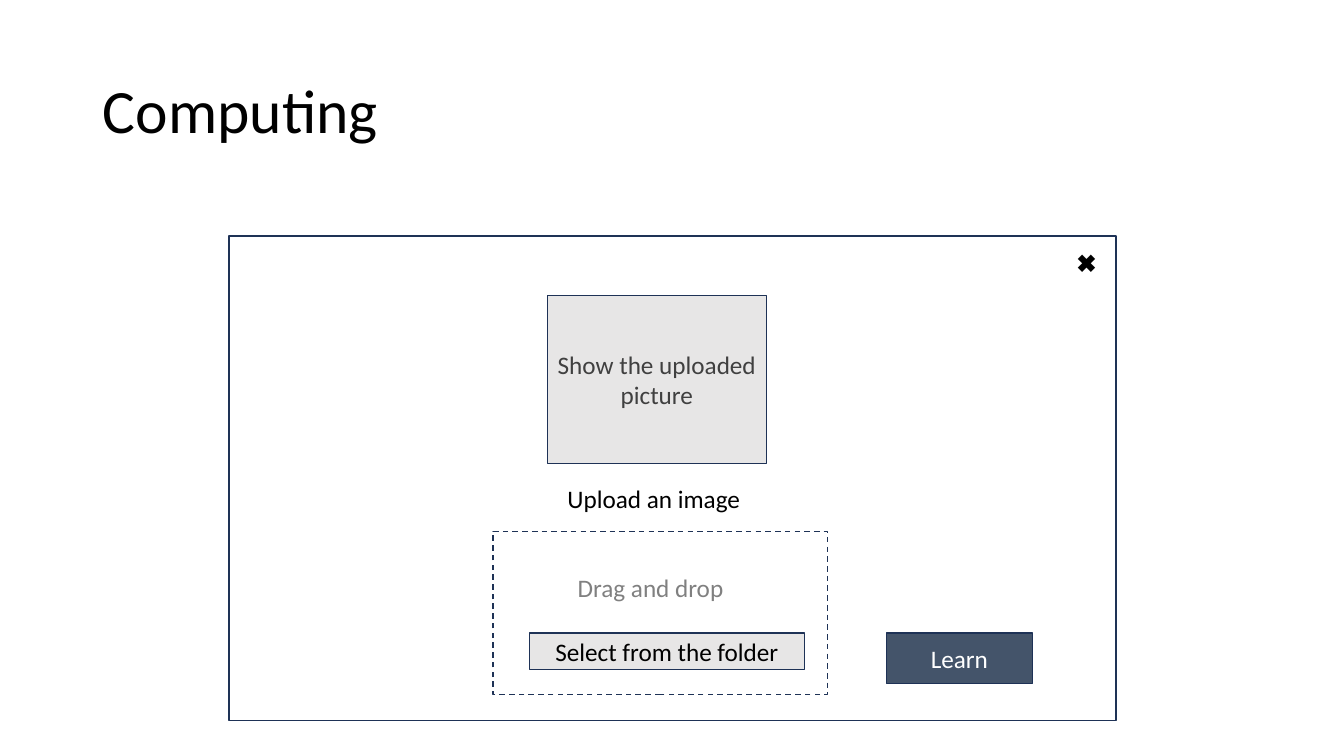
from pptx import Presentation
from pptx.dml.color import RGBColor
from pptx.enum.dml import MSO_LINE
from pptx.enum.shapes import MSO_SHAPE
from pptx.enum.text import MSO_ANCHOR, PP_ALIGN
from pptx.util import Inches, Pt

RECTANGLE = MSO_SHAPE.RECTANGLE
DASH = MSO_LINE.DASH
MIDDLE = MSO_ANCHOR.MIDDLE
LEFT, CENTER = PP_ALIGN.LEFT, PP_ALIGN.CENTER

FONT = "Calibri"
OUTLINE, WHITE, GRAY, BLACK = "1E3256", "FFFFFF", "E7E6E6", "000000"

HEADING = ("Computing", (0.92, 0.4, 11.5, 1.45))
BOXES = [
    ("", (2.27, 2.34, 8.8, 4.81), WHITE, BLACK, None),
    ("Show the uploaded picture", (5.43, 2.93, 2.17, 1.67), GRAY, "404040", None),
    ("", (4.89, 5.27, 3.32, 1.62), WHITE, BLACK, DASH),
    ("Select from the folder", (5.25, 6.28, 2.73, 0.36), GRAY, BLACK, None),
    ("Learn", (8.79, 6.28, 1.45, 0.5), "44546A", WHITE, None),
]
LABELS = [
    ("Drag and drop", (5.63, 5.63, 1.69, 0.4), "808080"),
    ("Upload an image", (5.53, 4.75, 2.11, 0.4), BLACK),
    ("✖", (10.58, 2.4, 0.43, 0.4), BLACK),
]


def rgb(color):
    return RGBColor.from_string(color)


def write(shape, text, color, size=18, align=LEFT):
    frame = shape.text_frame
    frame.word_wrap = True
    paragraph = frame.paragraphs[0]
    paragraph.alignment = align
    run = paragraph.add_run()
    run.text = text
    for name, value in {"name": FONT, "size": Pt(size)}.items():
        setattr(run.font, name, value)
    run.font.color.rgb = rgb(color)
    return frame


def add_box(slide, text, place, fill, color, dash):
    box = slide.shapes.add_shape(RECTANGLE, *map(Inches, place))
    box.shadow.inherit = False
    box.fill.solid()
    box.fill.fore_color.rgb = rgb(fill)
    box.line.color.rgb = rgb(OUTLINE)
    box.line.width = Pt(1)
    if dash:
        box.line.dash_style = dash
    if text:
        write(box, text, color, align=CENTER).vertical_anchor = MIDDLE


def add_heading(slide, text, place):
    heading = slide.shapes.title
    for side, value in zip(("left", "top", "width", "height"), place):
        setattr(heading, side, Inches(value))
    frame = write(heading, text, BLACK, size=44)
    frame.vertical_anchor = MIDDLE
    frame.paragraphs[0].line_spacing = 0.9


def main():
    deck = Presentation()
    deck.slide_width, deck.slide_height = Inches(13.33), Inches(7.5)
    slide = deck.slides.add_slide(deck.slide_layouts[5])
    add_heading(slide, *HEADING)
    for box in BOXES:
        add_box(slide, *box)
    for text, place, color in LABELS:
        write(slide.shapes.add_textbox(*map(Inches, place)), text, color)
    deck.save("out.pptx")


if __name__ == "__main__":
    main()
